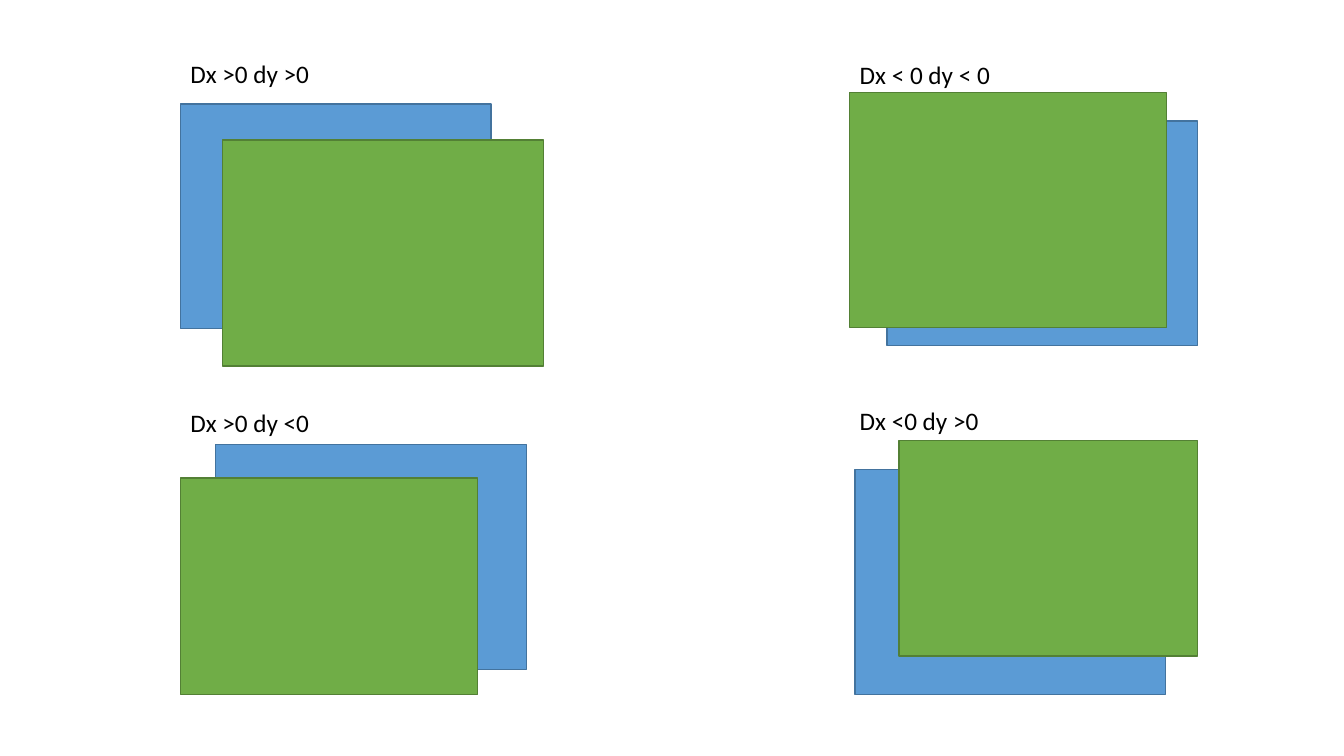
from pptx import Presentation
from pptx.dml.color import RGBColor
from pptx.enum.shapes import MSO_SHAPE
from pptx.enum.text import MSO_AUTO_SIZE
from pptx.util import Pt

BLUE, BLUE_EDGE = "5B9BD5", "43739E"
GREEN, GREEN_EDGE = "70AD47", "538035"
BLUE_SIZE = (221.8, 160.6)
LABEL_HEIGHT = 28.8

# Label, its left, top and width; blue left and top; green left, top, width and height
CASES = [
    ("Dx >0 dy >0", (128.9, 38.2, 100.8), (128.9, 74.2), (159.1, 100.1, 229, 161.3)),
    ("Dx < 0 dy < 0", (607, 38.9, 108.7), (633.6, 86.4), (607, 66.2, 226.1, 167.8)),
    ("Dx >0 dy <0", (128.9, 287.3, 100.8), (154.1, 317.5), (128.9, 341.3, 212.4, 154.8)),
    ("Dx <0 dy >0", (607, 285.8, 100.8), (610.6, 335.5), (642.2, 314.6, 213.1, 154.1)),
]


def color(hex_value):
    return RGBColor.from_string(hex_value)


def add_rectangle(slide, bounds, fill, edge):
    rectangle = slide.shapes.add_shape(MSO_SHAPE.RECTANGLE, *map(Pt, bounds))
    rectangle.shadow.inherit = False
    rectangle.fill.solid()
    rectangle.fill.fore_color.rgb = color(fill)
    rectangle.line.color.rgb = color(edge)
    rectangle.line.width = Pt(1)


def add_label(slide, text, bounds):
    frame = slide.shapes.add_textbox(*map(Pt, bounds)).text_frame
    frame.text = text
    frame.word_wrap = False
    frame.auto_size = MSO_AUTO_SIZE.SHAPE_TO_FIT_TEXT
    font = frame.paragraphs[0].runs[0].font
    font.name = "Calibri"
    font.size = Pt(18)
    font.color.rgb = color("000000")


def main():
    presentation = Presentation()
    presentation.slide_width = Pt(960)
    presentation.slide_height = Pt(540)
    slide = presentation.slides.add_slide(presentation.slide_layouts[6])
    for _, _, blue_corner, green_bounds in CASES:
        add_rectangle(slide, blue_corner + BLUE_SIZE, BLUE, BLUE_EDGE)
        add_rectangle(slide, green_bounds, GREEN, GREEN_EDGE)
    for label, label_bounds, _, _ in CASES:
        add_label(slide, label, label_bounds + (LABEL_HEIGHT,))
    presentation.save("out.pptx")


if __name__ == "__main__":
    main()
